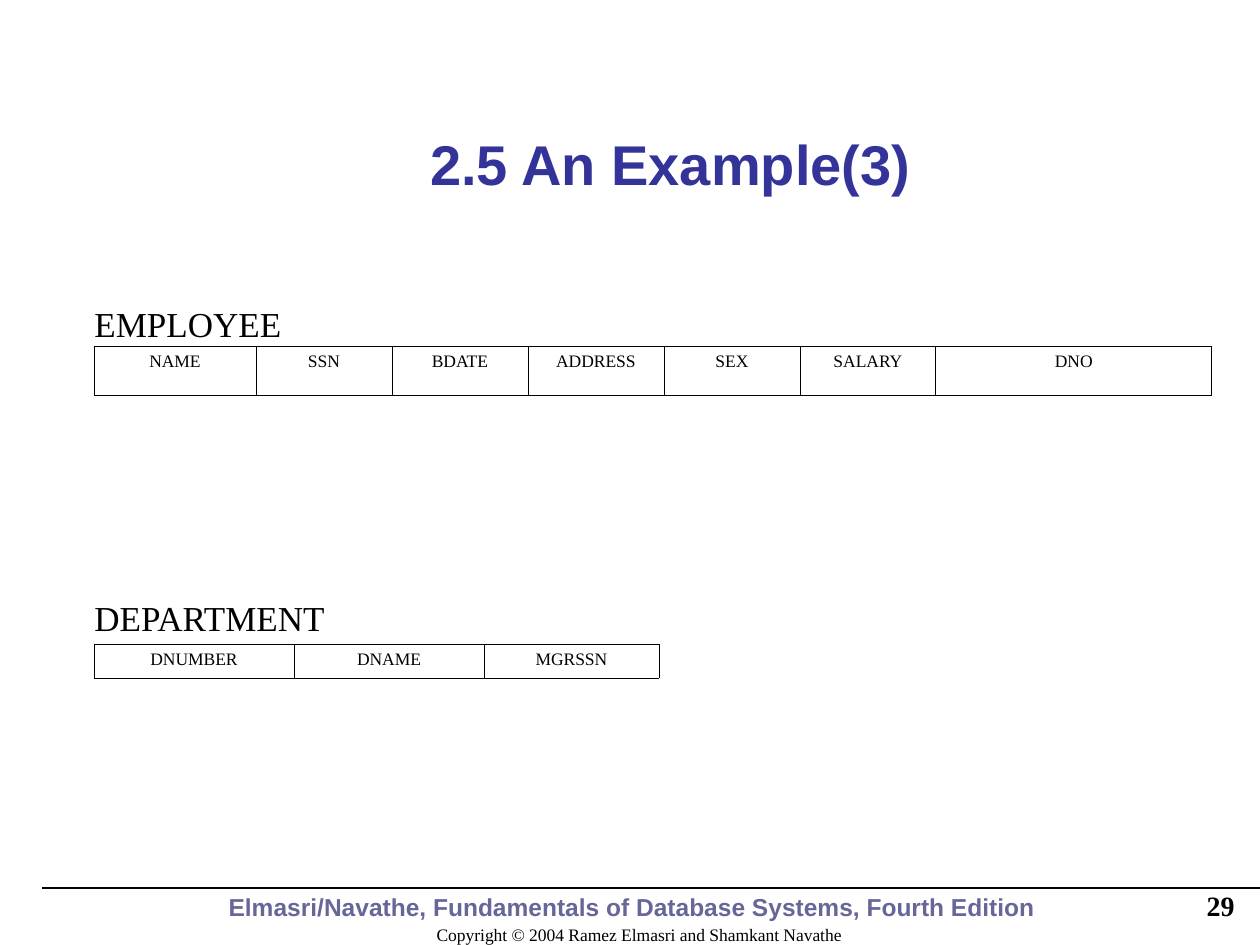
import pptx
import pptx.dml.color
import pptx.enum.shapes
import pptx.enum.text
import pptx.oxml
import pptx.oxml.ns
import pptx.util

PX = 914400 / 126
COLORS = {"ink": "000000", "title": "333399", "book": "666699"}
SERIF, SANS = "Times New Roman", "Arial"
ALIGN = pptx.enum.text.PP_ALIGN
ANCHOR = pptx.enum.text.MSO_ANCHOR


def px(*lengths):
    return [pptx.util.Emu(round(length * PX)) for length in lengths]


def rgb(name):
    return pptx.dml.color.RGBColor.from_string(COLORS[name])


def write(frame, text, size, color="ink", font=SERIF, bold=False,
          align=ALIGN.LEFT, space_before=0):
    paragraph = frame.paragraphs[0]
    paragraph.alignment = align
    paragraph.space_before = pptx.util.Pt(space_before)
    run = paragraph.add_run()
    run.text = text
    formats = {"name": font, "size": pptx.util.Pt(size), "bold": bold}
    for attribute, value in formats.items():
        setattr(run.font, attribute, value)
    run.font.color.rgb = rgb(color)


def add_text(slide, box, text, size, anchor=ANCHOR.TOP, **formats):
    frame = slide.shapes.add_textbox(*px(*box)).text_frame
    frame.word_wrap = True
    frame.vertical_anchor = anchor
    write(frame, text, size, **formats)


def outline_cell(cell):
    """Draw a thin line on all four sides and leave the cell unfilled."""
    properties = cell._tc.get_or_add_tcPr()
    for side in ("lnL", "lnR", "lnT", "lnB"):
        properties.append(pptx.oxml.parse_xml(
            f'<a:{side} {pptx.oxml.ns.nsdecls("a")} w="{pptx.util.Pt(0.45)}">'
            f'<a:solidFill><a:srgbClr val="{COLORS["ink"]}"/></a:solidFill>'
            f'</a:{side}>'))
    cell.fill.background()


def add_relation(slide, box, name, name_box, attributes):
    """Place a relation name and its row of (attribute, width) cells.

    name_box is relative to the top left corner of box.
    """
    left, top, width, height = box
    dx, dy, name_width, name_height = name_box
    add_text(slide, (left + dx, top + dy, name_width, name_height),
             name, 20, space_before=5)
    table = slide.shapes.add_table(1, len(attributes), *px(*box)).table
    table.first_row = table.horz_banding = False
    table.rows[0].height = px(height)[0]
    for column, cell, (attribute, column_width) in zip(
            table.columns, table.iter_cells(), attributes):
        column.width = px(column_width)[0]
        outline_cell(cell)
        write(cell.text_frame, attribute, 10, align=ALIGN.CENTER,
              space_before=2.5)


def add_footer(slide, box):
    left, top, width, height = box
    add_text(slide, (left + 317, top + 9, 560, 63),
             "Copyright © 2004 Ramez Elmasri and Shamkant Navathe", 10,
             anchor=ANCHOR.BOTTOM, align=ALIGN.CENTER)
    add_text(slide, (left + 71, top - 14, 1045, 63),
             "Elmasri/Navathe, Fundamentals of Database Systems, Fourth Edition ",
             14, anchor=ANCHOR.BOTTOM, align=ALIGN.CENTER,
             color="book", font=SANS, bold=True)
    rule = slide.shapes.add_connector(
        pptx.enum.shapes.MSO_CONNECTOR.STRAIGHT,
        *px(left + width, top + 9, left, top + 9))
    rule.line.color.rgb = rgb("ink")
    rule.line.width = pptx.util.Pt(0.75)
    rule._element.spPr.append(pptx.oxml.parse_xml(
        f'<a:effectLst {pptx.oxml.ns.nsdecls("a")}/>'))
    add_text(slide, (left + 943, top, 262, 53), "29", 16,
             anchor=ANCHOR.MIDDLE, align=ALIGN.RIGHT, bold=True)


def main():
    deck = pptx.Presentation()
    deck.slide_width, deck.slide_height = px(1260, 945)
    slide = deck.slides.add_slide(deck.slide_layouts[6])

    add_footer(slide, (42, 879, 1220, 66))
    add_text(slide, (176, 84, 989, 158), "2.5 An Example(3)", 32,
             anchor=ANCHOR.MIDDLE, align=ALIGN.CENTER,
             color="title", font=SANS, bold=True)

    middle = ["SSN", "BDATE", "ADDRESS", "SEX", "SALARY"]
    employee = [("NAME", 162), *((name, 136) for name in middle), ("DNO", 276)]
    add_relation(slide, (94, 346, 1118, 49), "EMPLOYEE",
                 (-12, -50, 1130, 563), employee)
    department = [("DNUMBER", 200), ("DNAME", 190), ("MGRSSN", 175)]
    add_relation(slide, (94, 644, 565, 34), "DEPARTMENT",
                 (-12, -54, 413, 55), department)

    deck.save("out.pptx")


if __name__ == "__main__":
    main()
